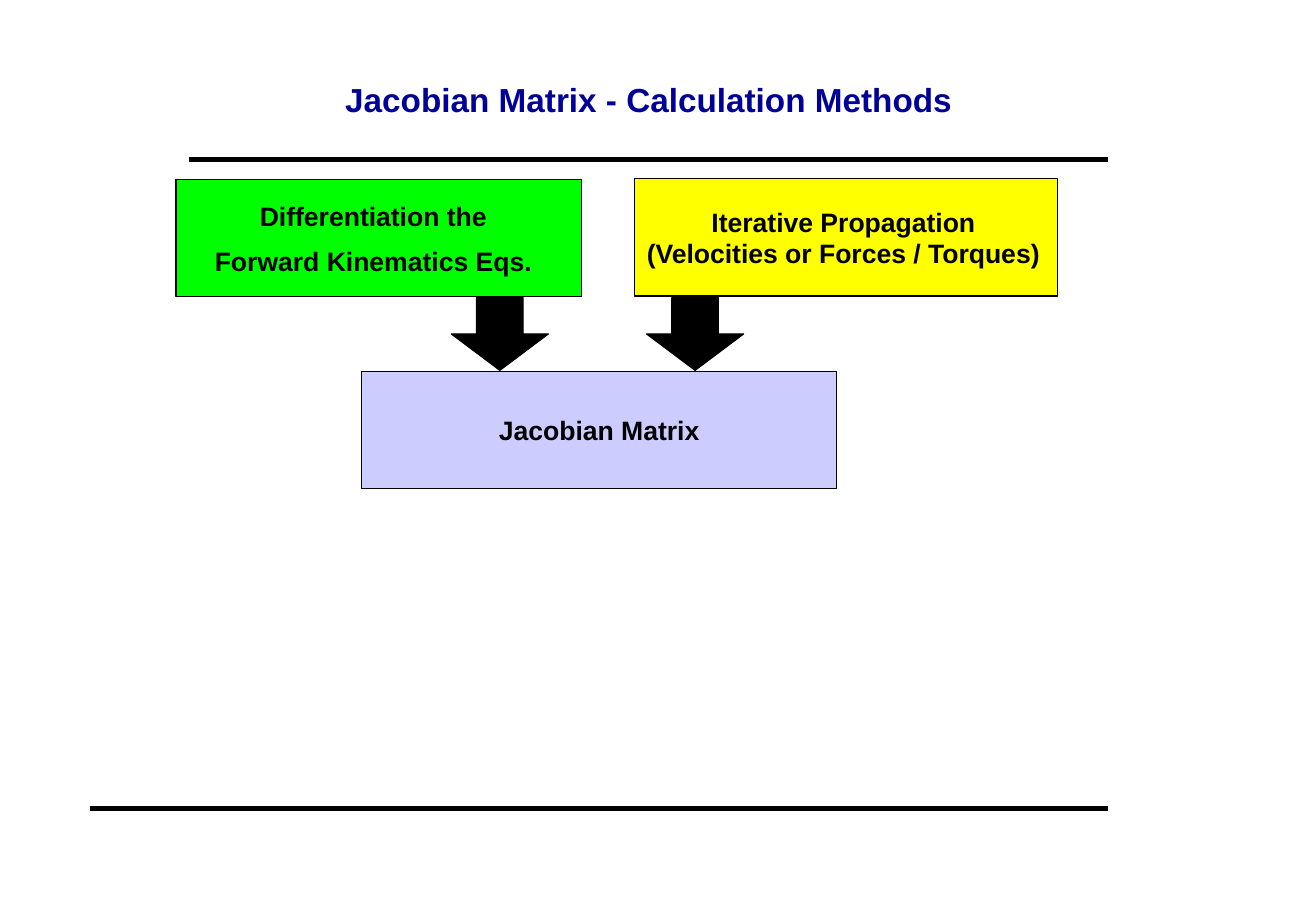
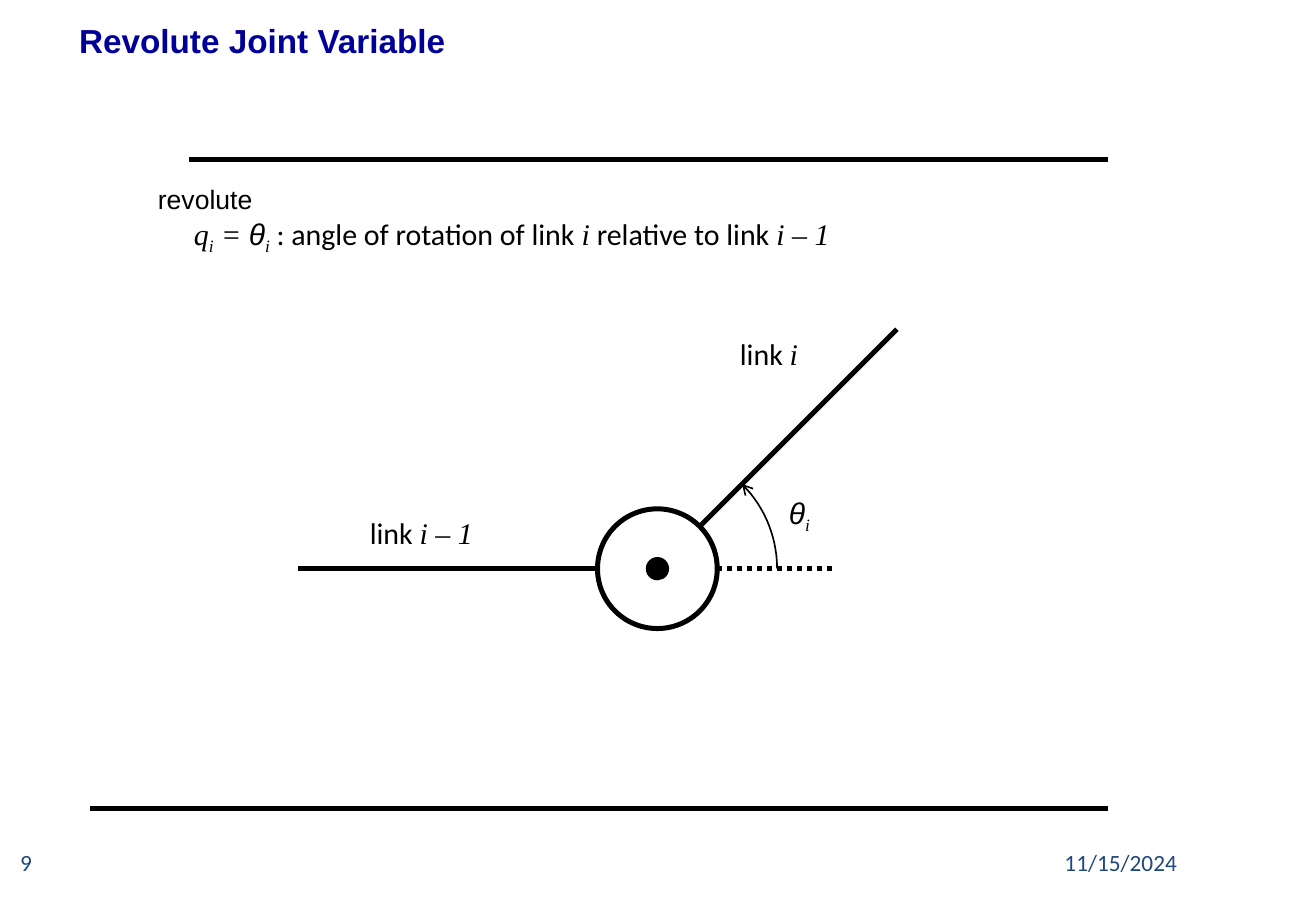
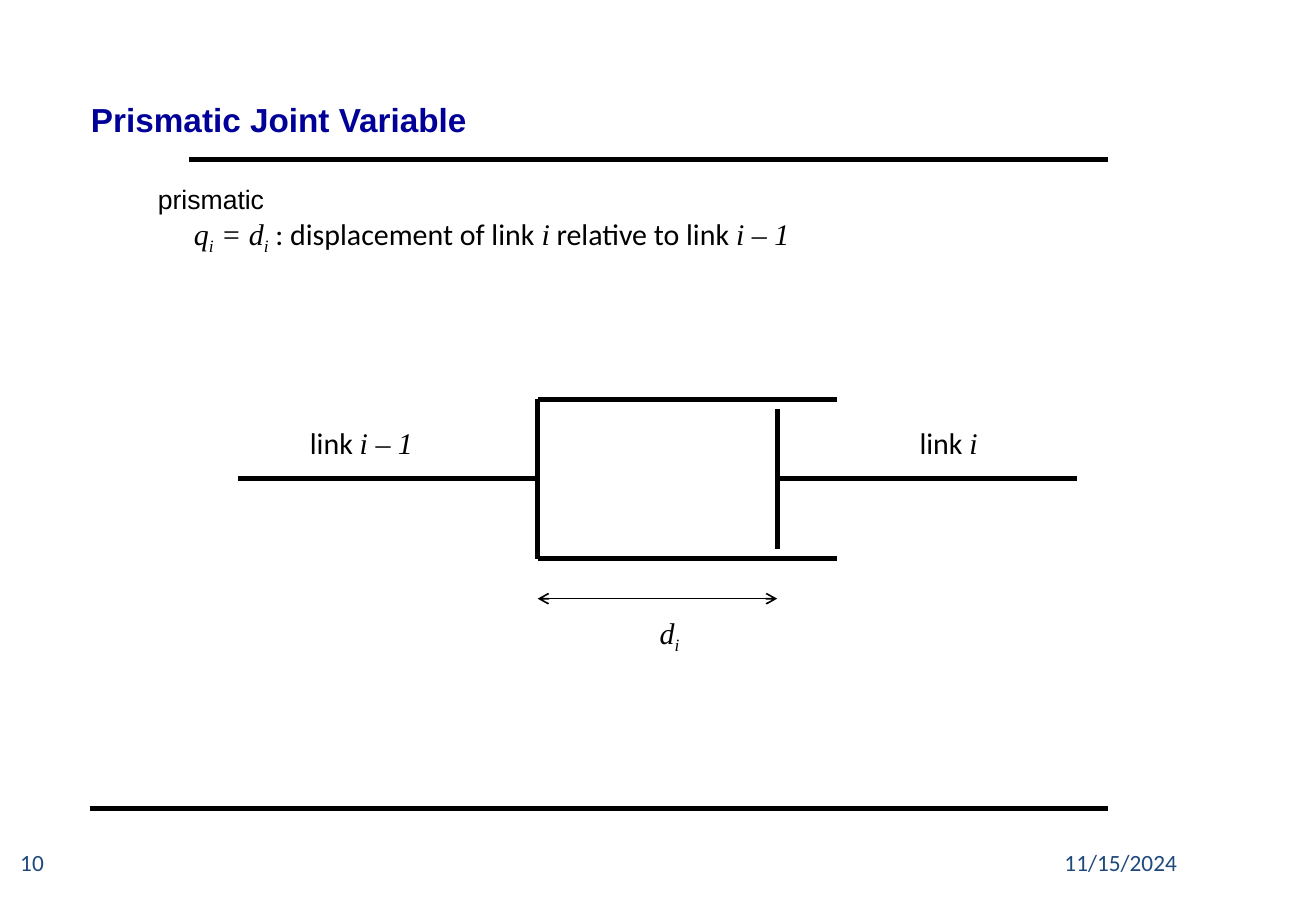
from math import cos, radians, sin

from lxml.etree import SubElement
from pptx import Presentation
from pptx.dml.color import RGBColor
from pptx.enum.dml import MSO_LINE
from pptx.enum.shapes import MSO_CONNECTOR, MSO_SHAPE
from pptx.enum.text import MSO_ANCHOR, MSO_AUTO_SIZE, PP_ALIGN
from pptx.oxml.ns import qn
from pptx.util import Pt

COLORS = {"ink": "000000", "title": "000099", "footer": "1F497D",
          "green": "00FF00", "yellow": "FFFF00", "lavender": "CCCCFF"}
RULES = [(54, 486, 666), (113.8, 95.8, 666)]  # left, y, right
DATE = "11/15/2024"
THICK, THIN, HAIR = 3, 1, 0.75

# Run styles: font, size, italic, baseline in percent
STYLES = {"head": ("Arial", 16, False, 0),
          "plain": ("Calibri", 18, False, 0),
          "math": ("Times New Roman", 18, True, 0),
          "greek": ("Arial", 18, True, 0),
          "sub": ("Times New Roman", 18, True, -25)}
LINK = [("link ", "plain"), ("i", "math")]
PREVIOUS_LINK = [("link ", "plain"), ("i – 1", "math")]
THETA = [("θ", "greek"), ("i", "sub")]
DISPLACEMENT = [("d", "math"), ("i", "sub")]

# Lines, left, top, width, space before second line, right inset, fill
METHODS = [
    (["Differentiation the", "Forward Kinematics Eqs."], 105.8, 108, 244, 8, 6.5, "green"),
    (["Iterative Propagation", "(Velocities or Forces / Torques)"], 381.6, 107.5, 254.2, 0, 3, "yellow"),
    (["Jacobian Matrix"], 217.4, 223.2, 285.8, 0, 0, "lavender"),
]
METHOD_HEIGHT = 70.5
ARROW_LEFTS = [271.4, 388.8]

REVOLUTE_LABELS = [(PREVIOUS_LINK, 215.3, 306, 84.2), (LINK, 437.8, 198, 56.9),
                   (THETA, 467.3, 293.8, 27.4)]
PRISMATIC_LABELS = [(PREVIOUS_LINK, 179.3, 252, 84.2), (LINK, 545.8, 252, 56.9),
                    (DISPLACEMENT, 389.5, 365.8, 27.4)]


def color(name):
    return RGBColor.from_string(COLORS[name])


def set_line(line, width, heads=()):
    line.width = Pt(width)
    line.color.rgb = color("ink")
    for end in heads:
        SubElement(line._get_or_add_ln(), qn(f"a:{end}"), type="arrow")


def set_font(font, name, size, color_name, bold=False):
    font.name, font.size, font.bold = name, Pt(size), bold
    font.color.rgb = color(color_name)


def clear_insets(frame):
    frame.margin_left = frame.margin_top = frame.margin_right = frame.margin_bottom = 0


def add_line(slide, x1, y1, x2, y2, width=THICK, heads=(), dash=None):
    connector = slide.shapes.add_connector(
        MSO_CONNECTOR.STRAIGHT, Pt(x1), Pt(y1), Pt(x2), Pt(y2))
    SubElement(connector._element.spPr, qn("a:effectLst"))
    set_line(connector.line, width, heads)
    if dash:
        connector.line.dash_style = dash


def add_filled(slide, kind, left, top, width, height, fill=None, line_width=HAIR):
    shape = slide.shapes.add_shape(kind, Pt(left), Pt(top), Pt(width), Pt(height))
    shape.shadow.inherit = False
    if fill:
        shape.fill.solid()
        shape.fill.fore_color.rgb = color(fill)
    else:
        shape.fill.background()
    set_line(shape.line, line_width)
    return shape


def add_circle(slide, x, y, radius, fill=None, line_width=THICK):
    add_filled(slide, MSO_SHAPE.OVAL, x - radius, y - radius,
               2 * radius, 2 * radius, fill, line_width)


def add_text(slide, left, top, width, height):
    return slide.shapes.add_textbox(Pt(left), Pt(top), Pt(width), Pt(height)).text_frame


def add_runs(paragraph, pieces):
    for text, style in pieces:
        name, size, italic, baseline = STYLES[style]
        run = paragraph.add_run()
        run.text = text
        set_font(run.font, name, size, "ink")
        run.font.italic = italic
        if baseline:
            run._r.get_or_add_rPr().set("baseline", str(baseline * 1000))


def add_labels(slide, labels):
    for pieces, left, top, width in labels:
        frame = add_text(slide, left, top, width, 29)
        frame.word_wrap = False
        add_runs(frame.paragraphs[0], pieces)


def add_footer(slide, number):
    for text, left, width, align in [(DATE, 576, 131.8, PP_ALIGN.RIGHT),
                                     (number, 12.2, 156.2, PP_ALIGN.LEFT)]:
        frame = add_text(slide, left, 509.8, width, 19.4)
        clear_insets(frame)
        frame.word_wrap = True
        paragraph = frame.paragraphs[0]
        paragraph.text = text
        paragraph.alignment = align
        set_font(paragraph.font, "Calibri", 14, "footer")


def add_definition(slide, joint, symbol, meaning):
    frame = add_text(slide, 95, 110.2, 588.2, 41)
    clear_insets(frame)
    frame.word_wrap = True
    add_runs(frame.paragraphs[0], [(joint, "head")])
    formula = frame.add_paragraph()
    formula._p.get_or_add_pPr().set("marL", str(Pt(21.6)))
    add_runs(formula, [("q", "math"), ("i", "sub"), (" = ", "math"), *symbol,
                       (f" : {meaning} of link ", "plain"), ("i", "math"),
                       (" relative to link ", "plain"), ("i – 1", "math")])


def new_slide(deck, title, left, top, width, height, align=PP_ALIGN.LEFT):
    slide = deck.slides.add_slide(deck.slide_layouts[5])
    for x1, y, x2 in RULES:
        add_line(slide, x1, y, x2, y)
    heading = slide.shapes.title
    heading.left, heading.top = Pt(left), Pt(top)
    heading.width, heading.height = Pt(width), Pt(height)
    frame = heading.text_frame
    frame.text = title
    clear_insets(frame)
    frame.word_wrap = True
    frame.auto_size = MSO_AUTO_SIZE.NONE
    frame.vertical_anchor = MSO_ANCHOR.TOP
    paragraph = frame.paragraphs[0]
    paragraph.alignment = align
    set_font(paragraph.font, "Arial", 20, "title", bold=True)
    return slide


def methods_slide(deck):
    slide = new_slide(deck, "Jacobian Matrix - Calculation Methods",
                      145.4, 47.5, 489.6, 26, PP_ALIGN.CENTER)
    for lines, left, top, width, gap, right_inset, fill in METHODS:
        box = add_filled(slide, MSO_SHAPE.RECTANGLE, left, top, width, METHOD_HEIGHT, fill)
        frame = box.text_frame
        clear_insets(frame)
        frame.margin_right = Pt(right_inset)
        frame.word_wrap = True
        frame.vertical_anchor = MSO_ANCHOR.MIDDLE
        for index, text in enumerate(lines):
            paragraph = frame.add_paragraph() if index else frame.paragraphs[0]
            paragraph.text = text
            paragraph.alignment = PP_ALIGN.CENTER
            if index:
                paragraph.space_before = Pt(gap)
            set_font(paragraph.font, "Arial", 16, "ink", bold=True)
    for left in ARROW_LEFTS:
        arrow = add_filled(slide, MSO_SHAPE.DOWN_ARROW, left, 179, 58.3, 43.7, "ink")
        arrow.adjustments[0] = 0.48
        arrow.adjustments[1] = 0.5


def revolute_slide(deck):
    slide = new_slide(deck, "Revolute Joint Variable", 47.5, 12.2, 696.2, 41.8)
    add_footer(slide, "9")
    add_definition(slide, "revolute", THETA, "angle of rotation")
    x, y, radius, sweep = 395.3, 342, 36, 72
    rim = radius * cos(radians(45))
    add_circle(slide, x, y, radius)
    add_line(slide, x - radius - 180, y, x - radius, y)
    add_line(slide, x + rim, y - rim, x + 144, y - 144)
    add_circle(slide, x, y, 6, "ink", 2)
    add_line(slide, x + radius, y, x + radius + 72, y, dash=MSO_LINE.ROUND_DOT)
    add_labels(slide, REVOLUTE_LABELS)

    angles = [radians(degrees) for degrees in range(45, -1, -3)]
    points = [(Pt(x + sweep * cos(a)), Pt(y - sweep * sin(a))) for a in angles]
    builder = slide.shapes.build_freeform(*points[0])
    builder.add_line_segments(points[1:], close=False)
    arc = builder.convert_to_shape()
    arc.shadow.inherit = False
    arc.fill.background()
    set_line(arc.line, THIN, ["headEnd"])


def prismatic_slide(deck):
    slide = new_slide(deck, "Prismatic Joint Variable", 54.7, 59.8, 696.2, 41.8)
    add_footer(slide, "10")
    add_definition(slide, "prismatic", DISPLACEMENT, "displacement")
    base, piston, axis, length = 323.3, 467.3, 288, 180
    wall, plate = 48, 42  # half heights
    add_line(slide, base - length, axis, base, axis)
    add_line(slide, base, axis - wall, base, axis + wall)
    for y in (axis - wall, axis + wall):
        add_line(slide, base, y, base + length, y)
    add_line(slide, piston, axis - plate, piston, axis + plate)
    add_line(slide, piston, axis, piston + length, axis)
    add_line(slide, base, axis + 72, piston, axis + 72, THIN, ["headEnd", "tailEnd"])
    add_labels(slide, PRISMATIC_LABELS)


def main():
    deck = Presentation()
    deck.slide_width, deck.slide_height = Pt(791.28), Pt(540)
    methods_slide(deck)
    revolute_slide(deck)
    prismatic_slide(deck)
    deck.save("out.pptx")


if __name__ == "__main__":
    main()
